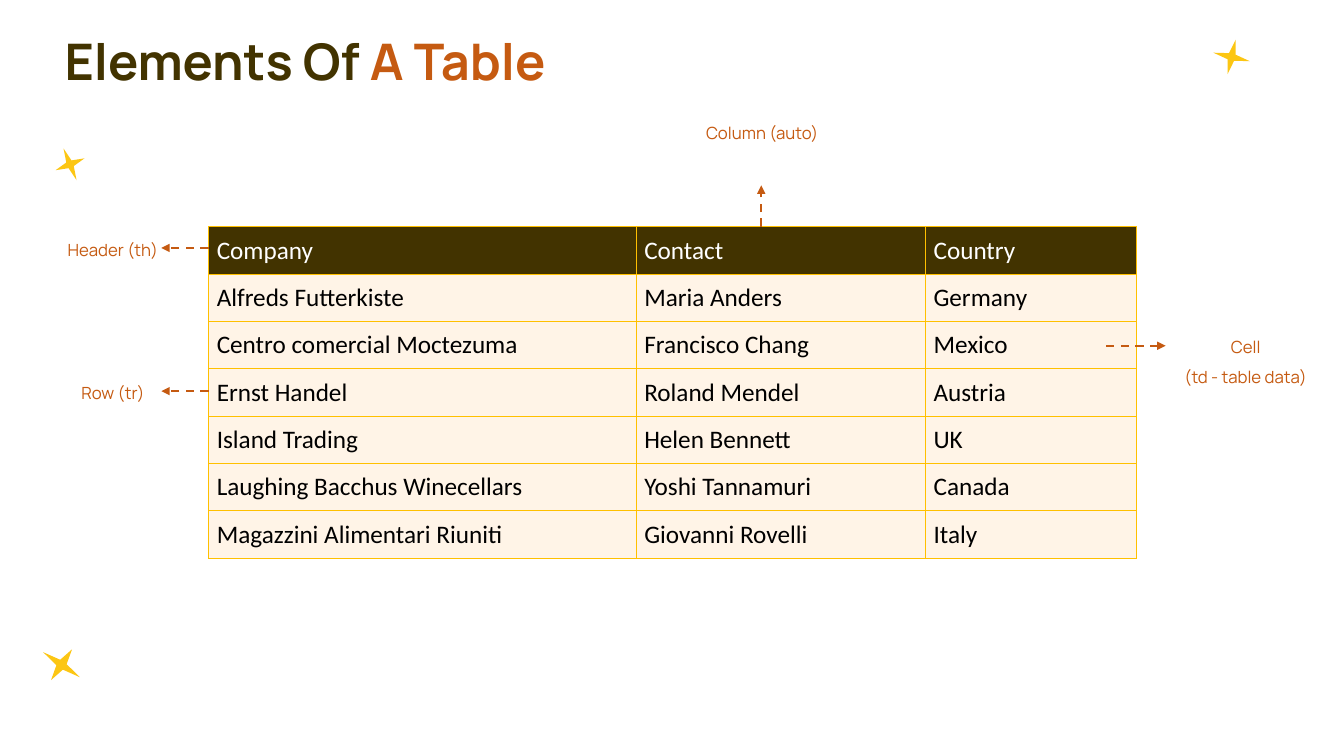
from lxml import etree
from pptx import Presentation
from pptx.dml.color import RGBColor
from pptx.enum.dml import MSO_LINE
from pptx.enum.shapes import MSO_CONNECTOR, MSO_SHAPE
from pptx.enum.text import MSO_ANCHOR, MSO_AUTO_SIZE, PP_ALIGN
from pptx.oxml.ns import qn
from pptx.util import Inches, Pt

STRAIGHT = MSO_CONNECTOR.STRAIGHT
STAR = MSO_SHAPE.STAR_4_POINT
DASH = MSO_LINE.DASH
BOTTOM, MIDDLE = MSO_ANCHOR.BOTTOM, MSO_ANCHOR.MIDDLE
LEFT, CENTER = PP_ALIGN.LEFT, PP_ALIGN.CENTER
NO_FIT = MSO_AUTO_SIZE.NONE

COLORS = {
    "brown": "423300",
    "orange": "C55A11",
    "gold": "FCC613",
    "border": "FFC000",
    "cream": "FFF4E7",
    "white": "FFFFFF",
    "black": "000000",
}
HEADING_FONT, TABLE_FONT = "Manrope", "Calibri"

COMPANIES = [
    ("Company", "Contact", "Country"),
    ("Alfreds Futterkiste", "Maria Anders", "Germany"),
    ("Centro comercial Moctezuma", "Francisco Chang", "Mexico"),
    ("Ernst Handel", "Roland Mendel", "Austria"),
    ("Island Trading", "Helen Bennett", "UK"),
    ("Laughing Bacchus Winecellars", "Yoshi Tannamuri", "Canada"),
    ("Magazzini Alimentari Riuniti", "Giovanni Rovelli", "Italy"),
]
COLUMN_WIDTHS = (4.24, 2.87, 2.09)
ROW_HEIGHT = 0.47

# left, top, width, height, rotation
SPARKLES = [
    (0.39, 6.41, 0.44, 0.37, 34.3),
    (12.03, 0.39, 0.37, 0.35, 13.1),
    (0.54, 1.46, 0.31, 0.34, -22.3),
]

# label lines, label box, arrow start, arrow end
CALLOUTS = [
    (["Header (th)"], (0.4, 2.23, 1.44, 0.38), (2.07, 2.46), (1.6, 2.46)),
    (["Row (tr)"], (0.4, 3.65, 1.44, 0.38), (2.07, 3.88), (1.6, 3.88)),
    (["Column (auto)"], (6.84, 1.07, 1.44, 0.68), (7.55, 2.25), (7.55, 1.84)),
    (["Cell", "(td - table data)"], (11.51, 3.19, 1.69, 0.68),
     (10.97, 3.43), (11.56, 3.43)),
]


def rgb(color):
    return RGBColor.from_string(COLORS[color])


class SlideBuilder:
    def __init__(self, slide):
        self.slide = slide
        self.shapes = slide.shapes

    def style(self, font, size, color, name=HEADING_FONT, bold=False):
        font.name, font.size, font.bold = name, Pt(size), bold
        font.color.rgb = rgb(color)

    def title(self, parts, left, top, width, height):
        title = self.shapes.title
        title.left, title.top = Inches(left), Inches(top)
        title.width, title.height = Inches(width), Inches(height)
        frame = title.text_frame
        frame.auto_size, frame.vertical_anchor = NO_FIT, BOTTOM
        line = frame.paragraphs[0]
        line.alignment, line.line_spacing = LEFT, Pt(50.2)
        for text, color in parts:
            run = line.add_run()
            run.text = text
            self.style(run.font, 36, color, bold=True)

    def sparkle(self, left, top, width, height, rotation):
        star = self.shapes.add_shape(STAR, Inches(left), Inches(top),
                                     Inches(width), Inches(height))
        star.rotation = rotation
        star.shadow.inherit = False
        star.fill.solid()
        star.fill.fore_color.rgb = rgb("gold")
        star.line.fill.background()

    def table(self, rows, left, top, widths, row_height):
        table = self.shapes.add_table(
            len(rows), len(widths), Inches(left), Inches(top),
            Inches(sum(widths)), Inches(row_height * len(rows))).table
        for column, width in zip(table.columns, widths):
            column.width = Inches(width)
        for r, row in enumerate(rows):
            fill, color = ("cream", "black") if r else ("brown", "white")
            for c, text in enumerate(row):
                self.cell(table.cell(r, c), text, fill, color)

    def cell(self, cell, text, fill, color):
        cell.text = text
        cell.vertical_anchor = MIDDLE
        cell.margin_left = cell.margin_right = Inches(0.08)
        cell.margin_top = cell.margin_bottom = Inches(0.08)
        cell.fill.solid()
        cell.fill.fore_color.rgb = rgb(fill)
        self.style(cell.text_frame.paragraphs[0].font, 18, color, TABLE_FONT)
        # Borders come before the fill in the cell properties
        properties = cell._tc.get_or_add_tcPr()
        for i, side in enumerate(("lnL", "lnR", "lnT", "lnB")):
            border = etree.Element(qn(f"a:{side}"), w=str(Pt(1)))
            solid = etree.SubElement(border, qn("a:solidFill"))
            etree.SubElement(solid, qn("a:srgbClr"), val=COLORS["border"])
            properties.insert(i, border)

    def label(self, lines, left, top, width, height):
        frame = self.shapes.add_textbox(Inches(left), Inches(top), Inches(width),
                                        Inches(height)).text_frame
        frame.word_wrap = True
        frame.text = "\n".join(lines)
        for line in frame.paragraphs:
            line.alignment, line.line_spacing = CENTER, 1.5
            self.style(line.font, 12, "orange")

    def arrow(self, start, end):
        arrow = self.shapes.add_connector(
            STRAIGHT, *(Inches(value) for value in (*start, *end)))
        arrow.line.color.rgb = rgb("orange")
        arrow.line.width = Pt(1.5)
        arrow.line.dash_style = DASH
        etree.SubElement(arrow.line._get_or_add_ln(), qn("a:tailEnd"),
                         type="triangle")
        etree.SubElement(arrow._element.spPr, qn("a:effectLst"))


def main():
    deck = Presentation()
    deck.slide_width, deck.slide_height = Inches(13.33), Inches(7.5)
    builder = SlideBuilder(deck.slides.add_slide(deck.slide_layouts[5]))

    # Decoration and title
    for sparkle in SPARKLES:
        builder.sparkle(*sparkle)
    builder.title([("Elements Of ", "brown"), ("A Table", "orange")],
                  0.54, 0, 10, 0.95)

    # Sample table with its parts named
    builder.table(COMPANIES, 2.07, 2.25, COLUMN_WIDTHS, ROW_HEIGHT)
    for lines, box, start, end in CALLOUTS:
        builder.arrow(start, end)
        builder.label(lines, *box)

    deck.save("out.pptx")


if __name__ == "__main__":
    main()
